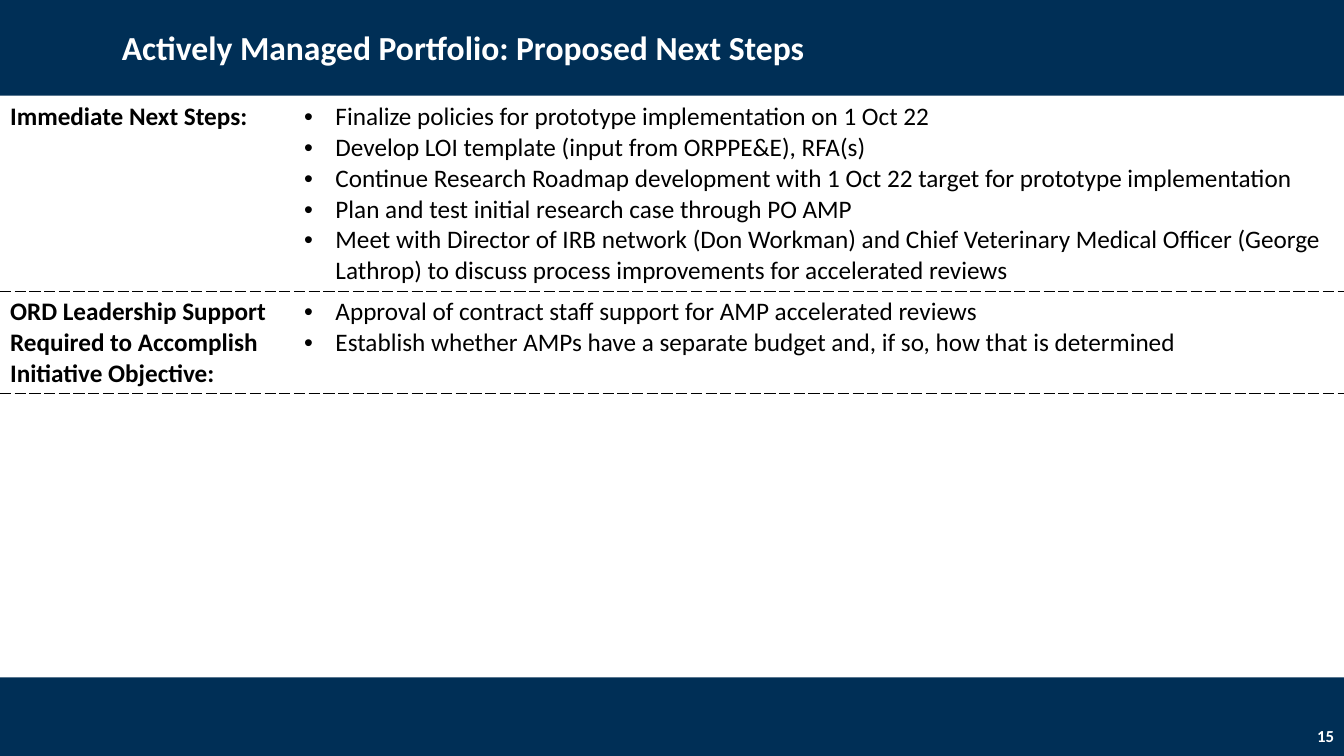
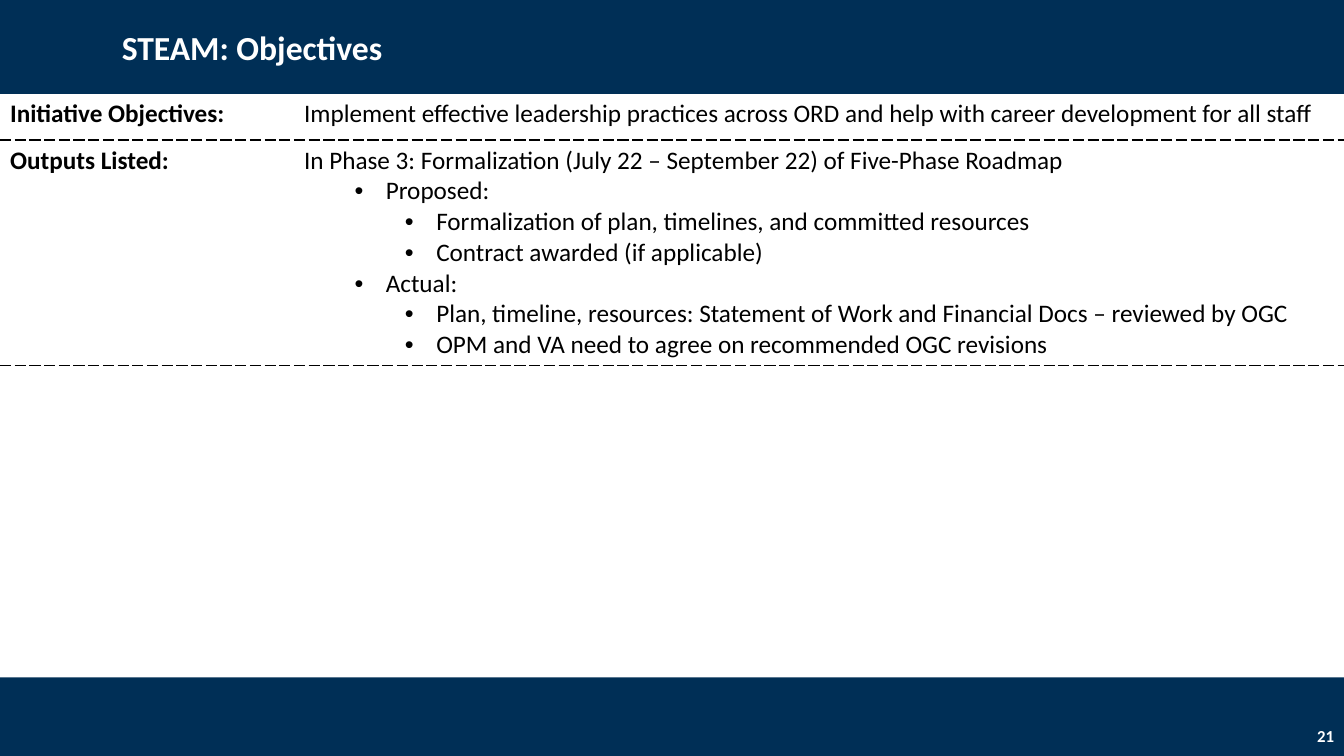
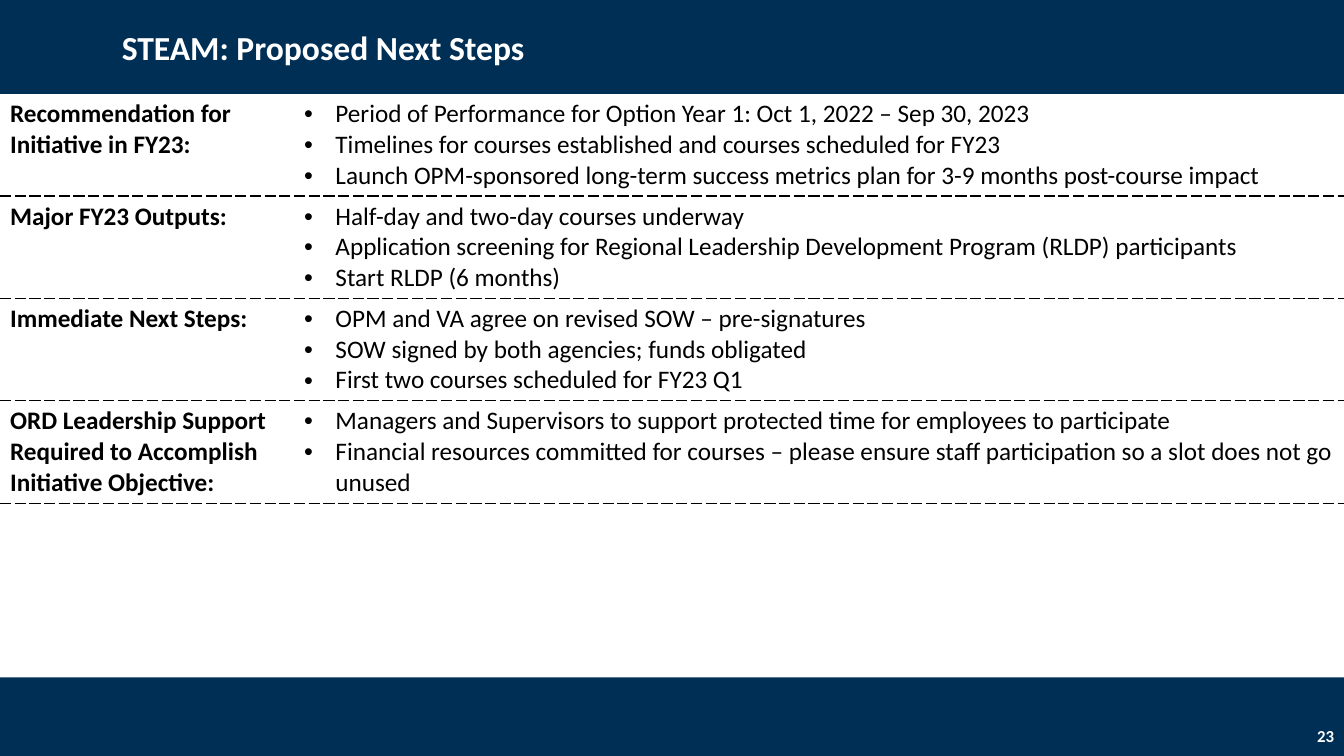
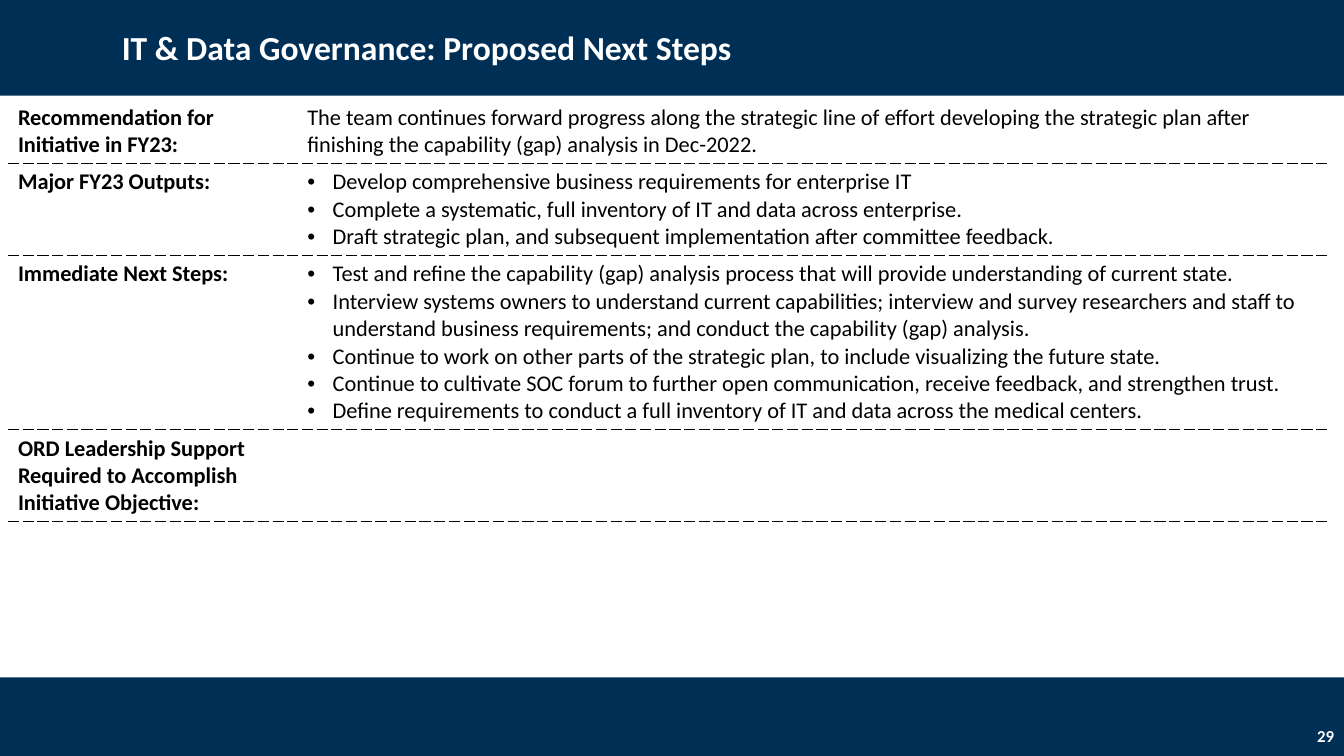
from lxml import etree
from pptx import Presentation
from pptx.dml.color import RGBColor
from pptx.enum.shapes import MSO_SHAPE
from pptx.enum.text import MSO_ANCHOR, PP_ALIGN
from pptx.oxml.ns import qn
from pptx.util import Cm, Pt

RECTANGLE = MSO_SHAPE.RECTANGLE
MIDDLE = MSO_ANCHOR.MIDDLE
LEFT, RIGHT = PP_ALIGN.LEFT, PP_ALIGN.RIGHT

FONT = "Calibri"
NAVY, WHITE, BLACK = "002F56", "FFFFFF", "000000"
WIDTH, HEIGHT = 33.87, 19.05
HEADER_HEIGHT = 2.41
FOOTER_TOP = 17.07
LEVEL_STEP = 1.27
PLAIN, BULLET, SUB_BULLET, SUB_SUB_BULLET = range(4)

FY23_RECOMMENDATION = "Recommendation for Initiative in FY23:"
FY23_OUTPUTS = "Major FY23 Outputs:"
NEXT_STEPS = "Immediate Next Steps:"
LEADERSHIP_SUPPORT = "ORD Leadership Support Required to Accomplish Initiative Objective:"

# Table box: left, top, width, label column width. Row: label, height, (level, text) items.
SLIDES = [
    {
        "title": "Actively Managed Portfolio: Proposed Next Steps",
        "number": "15",
        "box": (0, 2.44, WIDTH, 7.41),
        "size": 18,
        "hang": 0.79,
        "rows": [
            (NEXT_STEPS, 4.9, [
                (BULLET, "Finalize policies for prototype implementation on 1 Oct 22"),
                (BULLET, "Develop LOI template (input from ORPPE&E), RFA(s)"),
                (BULLET, "Continue Research Roadmap development with 1 Oct 22 target for "
                         "prototype implementation"),
                (BULLET, "Plan and test initial research case through PO AMP"),
                (BULLET, "Meet with Director of IRB network (Don Workman) and Chief Veterinary "
                         "Medical Officer (George Lathrop) to discuss process improvements for "
                         "accelerated reviews"),
            ]),
            (LEADERSHIP_SUPPORT, 2.58, [
                (BULLET, "Approval of contract staff support for AMP accelerated reviews"),
                (BULLET, "Establish whether AMPs have a separate budget and, if so, how that "
                         "is determined"),
            ]),
        ],
    },
    {
        "title": "STEAM: Objectives",
        "number": "21",
        "box": (0, 2.36, WIDTH, 7.41),
        "size": 18,
        "hang": 0.79,
        "rows": [
            ("Initiative Objectives:", 1.17, [
                (PLAIN, "Implement effective leadership practices across ORD and help with "
                        "career development for all staff"),
            ]),
            ("Outputs Listed:", 5.67, [
                (PLAIN, "In Phase 3: Formalization (July 22 – September 22) of Five-Phase Roadmap"),
                (SUB_BULLET, "Proposed:"),
                (SUB_SUB_BULLET, "Formalization of plan, timelines, and committed resources"),
                (SUB_SUB_BULLET, "Contract awarded (if applicable)"),
                (SUB_BULLET, "Actual:"),
                (SUB_SUB_BULLET, "Plan, timeline, resources: Statement of Work and Financial "
                                 "Docs – reviewed by OGC"),
                (SUB_SUB_BULLET, "OPM and VA need to agree on recommended OGC revisions"),
            ]),
        ],
    },
    {
        "title": "STEAM: Proposed Next Steps",
        "number": "23",
        "box": (0, 2.36, WIDTH, 7.41),
        "size": 18,
        "hang": 0.79,
        "rows": [
            (FY23_RECOMMENDATION, 2.58, [
                (BULLET, "Period of Performance for Option Year 1: Oct 1, 2022 – Sep 30, 2023"),
                (BULLET, "Timelines for courses established and courses scheduled for FY23"),
                (BULLET, "Launch OPM-sponsored long-term success metrics plan for 3-9 months "
                         "post-course impact"),
            ]),
            (FY23_OUTPUTS, 2.58, [
                (BULLET, "Half-day and two-day courses underway"),
                (BULLET, "Application screening for Regional Leadership Development Program "
                         "(RLDP) participants"),
                (BULLET, "Start RLDP (6 months)"),
            ]),
            (NEXT_STEPS, 2.58, [
                (BULLET, "OPM and VA agree on revised SOW – pre-signatures"),
                (BULLET, "SOW signed by both agencies; funds obligated"),
                (BULLET, "First two courses scheduled for FY23 Q1"),
            ]),
            (LEADERSHIP_SUPPORT, 2.58, [
                (BULLET, "Managers and Supervisors to support protected time for employees to "
                         "participate"),
                (BULLET, "Financial resources committed for courses – please ensure staff "
                         "participation so a slot does not go unused"),
            ]),
        ],
    },
    {
        "title": "IT & Data Governance: Proposed Next Steps",
        "number": "29",
        "box": (0.2, 2.49, 33.3, 7.29),
        "size": 16,
        "hang": 0.64,
        "rows": [
            (FY23_RECOMMENDATION, 1.63, [
                (PLAIN, "The team continues forward progress along the strategic line of effort "
                        "developing the strategic plan after finishing the capability (gap) "
                        "analysis in Dec-2022."),
            ]),
            (FY23_OUTPUTS, 2.32, [
                (BULLET, "Develop comprehensive business requirements for enterprise IT"),
                (BULLET, "Complete a systematic, full inventory of IT and data across "
                         "enterprise."),
                (BULLET, "Draft strategic plan, and subsequent implementation after committee "
                         "feedback."),
            ]),
            (NEXT_STEPS, 4.39, [
                (BULLET, "Test and refine the capability (gap) analysis process that will "
                         "provide understanding of current state."),
                (BULLET, "Interview systems owners to understand current capabilities; "
                         "interview and survey researchers and staff to understand business "
                         "requirements; and conduct the capability (gap) analysis."),
                (BULLET, "Continue to work on other parts of the strategic plan, to include "
                         "visualizing the future state."),
                (BULLET, "Continue to cultivate SOC forum to further open communication, "
                         "receive feedback, and strengthen trust."),
                (BULLET, "Define requirements to conduct a full inventory of IT and data "
                         "across the medical centers."),
            ]),
            (LEADERSHIP_SUPPORT, 2.32, []),
        ],
    },
]


def colour(value):
    return RGBColor.from_string(value)


def add_run(paragraph, text, size, value, bold):
    run = paragraph.add_run()
    run.text = text
    run.font.name = FONT
    run.font.size = Pt(size)
    run.font.bold = bold
    run.font.color.rgb = colour(value)


def add_band(slide, top, height):
    band = slide.shapes.add_shape(RECTANGLE, 0, Cm(top), Cm(WIDTH), Cm(height))
    band.shadow.inherit = False
    band.fill.solid()
    band.fill.fore_color.rgb = colour(NAVY)
    band.line.fill.background()


def add_band_text(slide, box, text, size, alignment, line_spacing=1.0):
    shape = slide.shapes.add_textbox(*(Cm(length) for length in box))
    frame = shape.text_frame
    frame.word_wrap = True
    frame.vertical_anchor = MIDDLE
    paragraph = frame.paragraphs[0]
    paragraph.alignment = alignment
    paragraph.line_spacing = line_spacing
    add_run(paragraph, text, size, WHITE, True)


def add_bullet(paragraph, level, hang):
    properties = paragraph._p.get_or_add_pPr()
    properties.set("marL", str(Cm(hang + (level - 1) * LEVEL_STEP)))
    properties.set("indent", str(-Cm(hang)))
    etree.SubElement(properties, qn("a:buFont")).set("typeface", "Arial")
    etree.SubElement(properties, qn("a:buChar")).set("char", "•")


def set_cell_style(cell, dashed_sides):
    """Dash the given sides, hide the other borders and fill the cell white."""
    properties = cell._tc.get_or_add_tcPr()
    for side in ("lnL", "lnR", "lnT", "lnB"):
        line = etree.SubElement(properties, qn(f"a:{side}"))
        if side in dashed_sides:
            line.set("w", str(Pt(1)))
            fill = etree.SubElement(line, qn("a:solidFill"))
            etree.SubElement(fill, qn("a:srgbClr")).set("val", BLACK)
            etree.SubElement(line, qn("a:prstDash")).set("val", "dash")
        else:
            etree.SubElement(line, qn("a:noFill"))
    cell.fill.solid()
    cell.fill.fore_color.rgb = colour(WHITE)


def add_initiative_table(slide, box, rows, size, hang):
    left, top, width, label_width = box
    total_height = sum(height for _, height, _ in rows)
    frame = slide.shapes.add_table(len(rows), 2, Cm(left), Cm(top), Cm(width), Cm(total_height))
    table = frame.table
    table.first_row = table.horz_banding = False
    table.columns[0].width = Cm(label_width)
    table.columns[1].width = Cm(width - label_width)
    for index, (label, height, items) in enumerate(rows):
        table.rows[index].height = Cm(height)
        label_cell, content_cell = table.rows[index].cells
        for cell in (label_cell, content_cell):
            set_cell_style(cell, ("lnT", "lnB") if index else ("lnB",))
        add_run(label_cell.text_frame.paragraphs[0], label, size, BLACK, True)
        content = content_cell.text_frame
        for position, (level, text) in enumerate(items):
            paragraph = content.add_paragraph() if position else content.paragraphs[0]
            if level != PLAIN:
                add_bullet(paragraph, level, hang)
            add_run(paragraph, text, size, BLACK, False)


def add_initiative_slide(presentation, title, number, box, rows, size, hang):
    slide = presentation.slides.add_slide(presentation.slide_layouts[6])
    add_band(slide, 0, HEADER_HEIGHT)
    add_band(slide, FOOTER_TOP, HEIGHT - FOOTER_TOP)
    add_initiative_table(slide, box, rows, size, hang)
    add_band_text(slide, (2.82, 0.3, 29.2, 1.88), title, 24, LEFT, 0.9)
    add_band_text(slide, (WIDTH - 7.62, 18.03, 7.62, 1.02), number, 12, RIGHT)


def main():
    presentation = Presentation()
    presentation.slide_width = Cm(WIDTH)
    presentation.slide_height = Cm(HEIGHT)
    for content in SLIDES:
        add_initiative_slide(presentation, **content)
    presentation.save("out.pptx")


if __name__ == "__main__":
    main()
